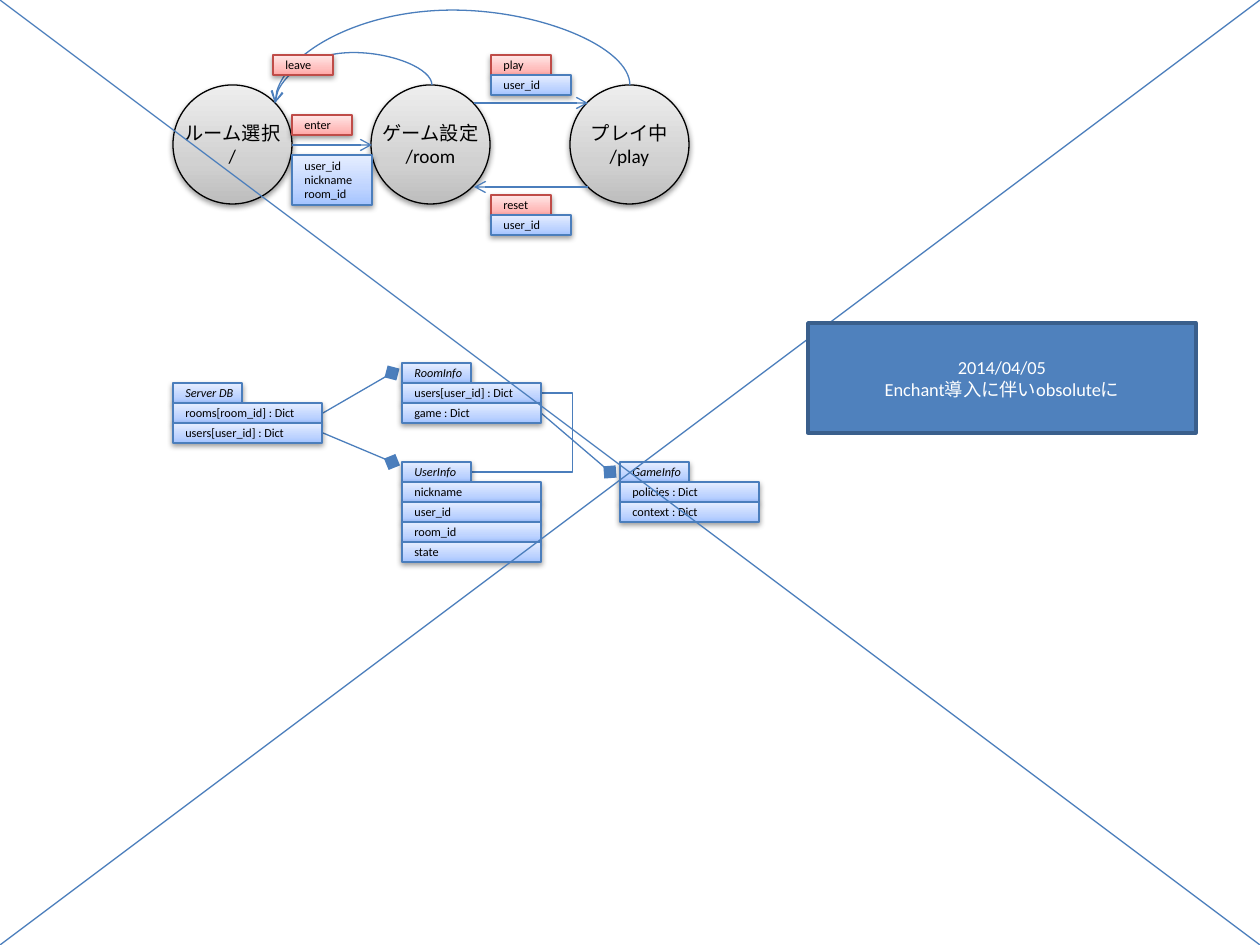
from lxml import etree
from pptx import Presentation
from pptx.dml.color import RGBColor
from pptx.enum.shapes import MSO_CONNECTOR, MSO_SHAPE
from pptx.enum.text import MSO_ANCHOR, PP_ALIGN
from pptx.oxml import parse_xml
from pptx.oxml.ns import nsdecls, qn
from pptx.util import Pt

OVAL, RECTANGLE = MSO_SHAPE.OVAL, MSO_SHAPE.RECTANGLE
STRAIGHT, ELBOW, CURVE = MSO_CONNECTOR.STRAIGHT, MSO_CONNECTOR.ELBOW, MSO_CONNECTOR.CURVE
LEFT, CENTER = PP_ALIGN.LEFT, PP_ALIGN.CENTER
MIDDLE = MSO_ANCHOR.MIDDLE
PIXEL = 914400 // 126
ROW = 20
BLUE_LINE, RED_LINE = "4B7EBC", "BF4C48"
BLUE = ("A4C4FF", "BFD4FF", "E6EEFF")
RED = ("FFA6A5", "FFC0BF", "FFE7E7")
GRAY = ("BDBDBD", "D1D1D1", "EEEEEE")

deck = Presentation()
deck.slide_width, deck.slide_height = 1260 * PIXEL, 945 * PIXEL
page = deck.slides.add_slide(deck.slide_layouts[6])


def add_box(text, place, kind=RECTANGLE, fill=BLUE, line=BLUE_LINE, width=0.75, size=7,
            color="000000", align=LEFT, spacing=None, italic=None, wrap=False):
    box = page.shapes.add_shape(kind, *[value * PIXEL for value in place])
    box.line.color.rgb = RGBColor.from_string(line)
    box.line.width = Pt(width)
    box.shadow.inherit = False
    properties = box._element.spPr
    if isinstance(fill, str):
        box.fill.solid()
        box.fill.fore_color.rgb = RGBColor.from_string(fill)
    else:
        stops = "".join(
            f'<a:gs pos="{position}"><a:srgbClr val="{shade}"/></a:gs>'
            for position, shade in zip((0, 35000, 100000), fill))
        properties.insert(2, parse_xml(
            f'<a:gradFill {nsdecls("a")} rotWithShape="1"><a:gsLst>{stops}</a:gsLst>'
            '<a:lin ang="16200000" scaled="0"/></a:gradFill>'))
        properties.find(qn("a:effectLst")).append(parse_xml(
            f'<a:outerShdw {nsdecls("a")} blurRad="40000" dist="20000" dir="5400000" '
            'rotWithShape="0"><a:srgbClr val="000000"><a:alpha val="38000"/>'
            '</a:srgbClr></a:outerShdw>'))
    frame = box.text_frame
    frame.word_wrap = wrap
    frame.vertical_anchor = MIDDLE
    for index, words in enumerate(text.split("\n")):
        para = frame.add_paragraph() if index else frame.paragraphs[0]
        para.alignment = align
        para.line_spacing = spacing
        span = para.add_run()
        span.text = words
        span.font.name = "Calibri"
        span.font.size = Pt(size)
        span.font.italic = italic
        span.font.color.rgb = RGBColor.from_string(color)


def add_link(start, end, kind=STRAIGHT, head=None, tail=None, bend=None):
    (x1, y1), (x2, y2) = start, end
    if kind == CURVE:
        middle_x, middle_y = (x1 + x2) / 2, (y1 + y2) / 2
        half_width, half_height = abs(y2 - y1) / 2, abs(x2 - x1) / 2
        x1, x2 = middle_x + half_width, middle_x - half_width
        y1, y2 = middle_y + half_height, middle_y - half_height
    link = page.shapes.add_connector(kind, *[int(value * PIXEL) for value in (x1, y1, x2, y2)])
    link.line.color.rgb = RGBColor.from_string(BLUE_LINE)
    link.line.width = Pt(0.75)
    properties = link._element.spPr
    if kind == CURVE:
        properties.find(qn("a:xfrm")).set("rot", "16200000")
    if bend is not None:
        guides = properties.find(qn("a:prstGeom")).find(qn("a:avLst"))
        etree.SubElement(guides, qn("a:gd"), name="adj1", fmla=f"val {bend}")
    outline = properties.find(qn("a:ln"))
    if head:
        etree.SubElement(outline, qn("a:headEnd"), type=head, w="lg", len="lg")
    if tail:
        etree.SubElement(outline, qn("a:tailEnd"), type=tail)
    etree.SubElement(properties, qn("a:effectLst"))


states = ["ルーム選択\n/", "ゲーム設定\n/room", "プレイ中\n/play"]
for index, state in enumerate(states):
    add_box(state, (173 + round(198.5 * index), 85, 119, 119), kind=OVAL, fill=GRAY,
            line="000000", size=11, align=CENTER)

moves = [((292, 145), (372, 145)), ((474, 103), (588, 103)), ((588, 187), (474, 187))]
for start, end in moves:
    add_link(start, end, tail="arrow")
for start_x, bend in ((432, -180600), (630, -416500)):
    add_link((start_x, 85), (275, 103), kind=CURVE, tail="arrow", bend=bend)

add_box("user_id\nnickname\nroom_id", (292, 155, 80, 50), spacing=Pt(8))
events = [("enter", 292, 115), ("play", 491, 55), ("reset", 491, 195), ("leave", 273, 55)]
for event, left, top in events:
    add_box(event, (left, top, 60, ROW), fill=RED, line=RED_LINE, spacing=Pt(8))
for top in (75, 215):
    add_box("user_id", (491, top, 80, ROW), spacing=Pt(8))

references = [((392, 373), (323, 413)), ((392, 462), (323, 433)), ((610, 472), (541, 413))]
for start, end in references:
    add_link(start, end, head="diamond")
add_link((471, 472), (541, 393), kind=ELBOW, bend=145400)

records = [
    (173, 383, 149, ["Server DB", "rooms[room_id] : Dict", "users[user_id] : Dict"]),
    (402, 363, 139, ["RoomInfo", "users[user_id] : Dict", "game : Dict"]),
    (402, 462, 139, ["UserInfo", "nickname", "user_id", "room_id", "state"]),
    (620, 462, 139, ["GameInfo", "policies : Dict", "context : Dict"]),
]
for left, top, width, fields in records:
    for index, field in enumerate(fields):
        title = index == 0
        add_box(field, (left, top + ROW * index, 69 if title else width, ROW),
                spacing=Pt(8), italic=title)

add_link((0, 0), (1260, 945))
add_link((0, 945), (1260, 0))
add_box("2014/04/05\nEnchant導入に伴いobsoluteに", (808, 323, 388, 110), fill="4F81BD",
        line="3A5F8C", width=2, size=10.5, color="FFFFFF", align=CENTER, wrap=True)

deck.save("out.pptx")
